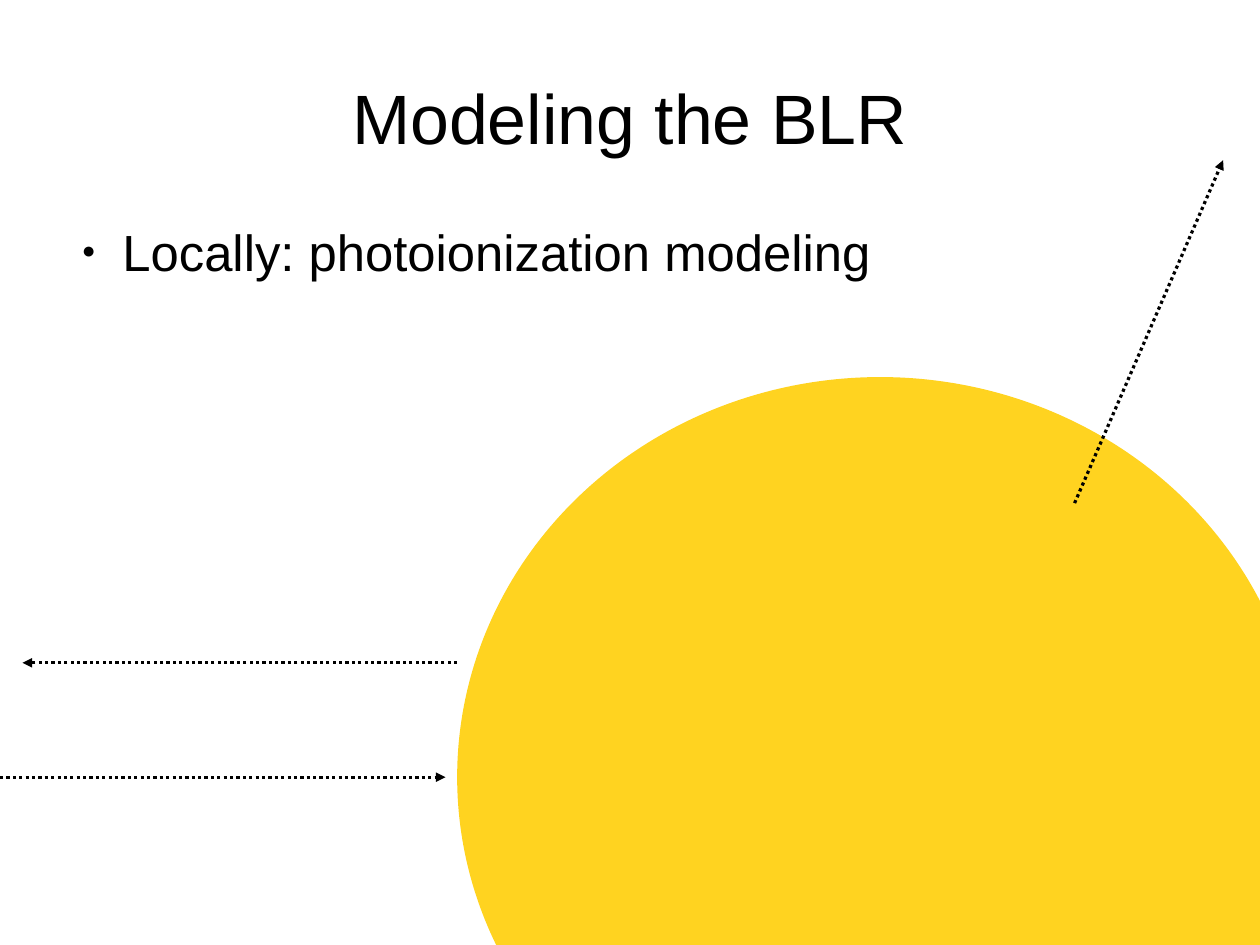
from dataclasses import dataclass

from lxml import etree
from pptx import Presentation
from pptx.dml.color import RGBColor
from pptx.enum import dml, shapes, text
from pptx.oxml import ns
from pptx.util import Cm, Pt

BLACK = "000000"
SUN_YELLOW = "FFD320"


@dataclass
class Label:
    wording: str
    left: float
    top: float
    width: float
    height: float
    size: float
    align: text.PP_ALIGN
    anchor: text.MSO_ANCHOR
    bullet: bool = False


@dataclass
class Ray:
    start: tuple[float, float]
    end: tuple[float, float]


LABELS = [
    Label("Modeling the BLR", 1.4, 0.84, 25.2, 3.51, 44,
          text.PP_ALIGN.CENTER, text.MSO_ANCHOR.MIDDLE),
    Label("Locally: photoionization modeling", 1.52, 4.9, 25.2, 12.17, 32,
          text.PP_ALIGN.LEFT, text.MSO_ANCHOR.TOP, bullet=True),
]

RAYS = [
    Ray((0, 17.27), (9.9, 17.27)),
    Ray((10.16, 14.73), (0.5, 14.73)),
    Ray((23.88, 11.18), (27.18, 3.56)),
]


def color(code: str) -> RGBColor:
    return RGBColor.from_string(code)


def add_bullet(para) -> None:
    props = para._p.get_or_add_pPr()
    props.set("marL", str(Cm(1.2)))
    props.set("indent", str(-Cm(0.9)))
    tint = etree.SubElement(props, ns.qn("a:buClr"))
    etree.SubElement(tint, ns.qn("a:srgbClr"), val=BLACK)
    etree.SubElement(props, ns.qn("a:buSzPct"), val="45000")
    etree.SubElement(props, ns.qn("a:buFont"), typeface="Arial")
    etree.SubElement(props, ns.qn("a:buChar"), char="●")


def add_label(page, label: Label) -> None:
    box = page.shapes.add_textbox(Cm(label.left), Cm(label.top),
                                  Cm(label.width), Cm(label.height))
    frame = box.text_frame
    frame.word_wrap = True
    frame.vertical_anchor = label.anchor
    frame.margin_left = frame.margin_right = 0
    frame.margin_top = frame.margin_bottom = 0
    para = frame.paragraphs[0]
    para.alignment = label.align
    if label.bullet:
        add_bullet(para)
    span = para.add_run()
    span.text = label.wording
    span.font.name = "Arial"
    span.font.size = Pt(label.size)
    span.font.color.rgb = color(BLACK)


def add_cloud(page) -> None:
    cloud = page.shapes.add_shape(shapes.MSO_SHAPE.OVAL, Cm(10.16), Cm(8.38),
                                  Cm(18.8), Cm(17.78))
    cloud.shadow.inherit = False
    cloud.fill.solid()
    cloud.fill.fore_color.rgb = color(SUN_YELLOW)
    cloud.line.fill.background()


def add_ray(page, ray: Ray) -> None:
    arrow = page.shapes.add_connector(shapes.MSO_CONNECTOR.STRAIGHT,
                                      *map(Cm, ray.start + ray.end))
    arrow.line.color.rgb = color(BLACK)
    arrow.line.width = 0
    arrow.line.dash_style = dml.MSO_LINE.ROUND_DOT
    outline = arrow.line._get_or_add_ln()
    etree.SubElement(outline, ns.qn("a:tailEnd"), type="triangle")
    etree.SubElement(arrow._element.spPr, ns.qn("a:effectLst"))


def main() -> None:
    deck = Presentation()
    deck.slide_width, deck.slide_height = Cm(28), Cm(21)
    page = deck.slides.add_slide(deck.slide_layouts[6])
    for label in LABELS:
        add_label(page, label)
    add_cloud(page)
    for ray in RAYS:
        add_ray(page, ray)
    deck.save("out.pptx")


if __name__ == "__main__":
    main()
